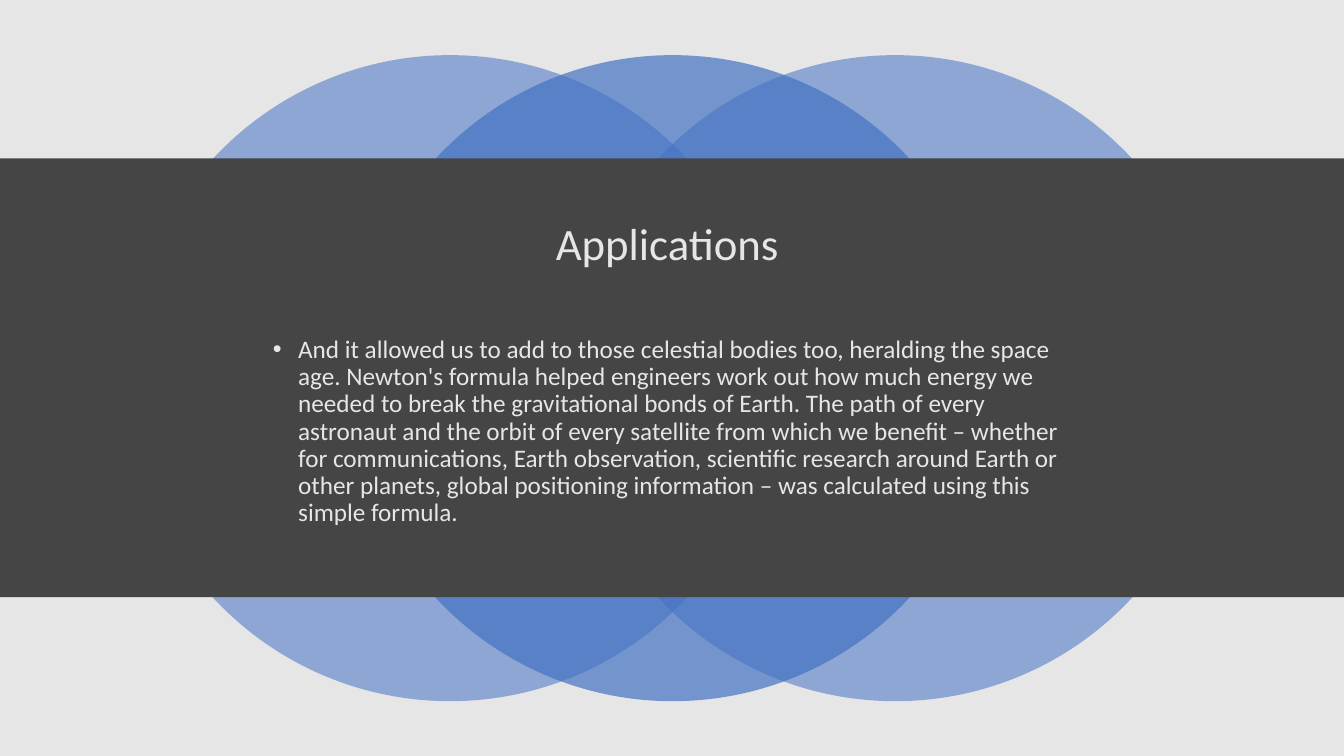
from lxml.etree import SubElement
from pptx import Presentation
from pptx.dml.color import RGBColor
from pptx.enum.shapes import MSO_SHAPE as SHAPE
from pptx.enum.text import MSO_ANCHOR as ANCHOR, PP_ALIGN as ALIGN
from pptx.oxml.ns import qn
from pptx.util import Cm, Pt

COLORS = {"dark": "454545", "light": "E7E6E6", "blue": "4472C4"}
WIDTH, HEIGHT = 33.87, 19.05
BODY = (
    "And it allowed us to add to those celestial bodies too, heralding the space age. "
    "Newton's formula helped engineers work out how much energy we needed to break the "
    "gravitational bonds of Earth. The path of every astronaut and the orbit of every "
    "satellite from which we benefit – whether for communications, Earth observation, "
    "scientific research around Earth or other planets, global positioning information "
    "– was calculated using this simple formula."
)


def add_filled(shapes, kind, box, color, alpha=None):
    """Add a borderless shape filled with a named colour, alpha in percent."""
    sp = shapes.add_shape(kind, *map(Cm, box))
    sp.shadow.inherit = False
    sp.line.fill.background()
    sp.fill.solid()
    sp.fill.fore_color.rgb = RGBColor.from_string(COLORS[color])
    if alpha:
        clr = sp._element.spPr.find(qn("a:solidFill"))[0]
        SubElement(clr, qn("a:alpha"), val=str(alpha * 1000))
    return sp


def add_text(slide, text, box, size, color="light", align=ALIGN.LEFT,
             anchor=ANCHOR.TOP, before=0, bullet=None):
    """Add a wrapped one-paragraph text box, optionally bulleted."""
    tf = slide.shapes.add_textbox(*map(Cm, box)).text_frame
    tf.word_wrap = True
    tf.vertical_anchor = anchor
    p = tf.paragraphs[0]
    p.alignment = align
    p.line_spacing = 0.9
    p.space_before = Pt(before)
    if bullet:
        pPr = p._p.get_or_add_pPr()
        pPr.set("marL", str(Pt(18)))
        pPr.set("indent", str(-Pt(18)))
        SubElement(pPr, qn("a:buFont"), typeface="Arial")
        SubElement(pPr, qn("a:buChar"), char=bullet)
    r = p.add_run()
    r.text = text
    r.font.name = "Calibri"
    r.font.size = Pt(size)
    r.font.color.rgb = RGBColor.from_string(COLORS[color])


def add_circles(slide, left, top, width, height):
    """Place three overlapping circles across the box, the middle one in front."""
    group = slide.shapes.add_group_shape()
    step = (width - height) / 2
    for i, alpha in ((0, 55), (2, 55), (1, 70)):
        box = (left + i * step, top, height, height)
        add_filled(group.shapes, SHAPE.OVAL, box, "blue", alpha)


def add_band(slide, left, top, width, height):
    """Draw the dark band with its title and bulleted paragraph."""
    add_filled(slide.shapes, SHAPE.RECTANGLE, (left, top, width, height), "dark")
    add_text(slide, "Applications ", (left + 2.34, top + 0.91, 29.21, 2.59), 32,
             align=ALIGN.CENTER, anchor=ANCHOR.MIDDLE)
    add_text(slide, BODY, (left + 6.63, top + 4.37, 20.62, 5.87), 18,
             before=10, bullet="•")


def build_slide(prs):
    """Build the applications slide."""
    s = prs.slides.add_slide(prs.slide_layouts[6])
    s.background.fill.solid()
    s.background.fill.fore_color.rgb = RGBColor.from_string(COLORS["dark"])
    add_filled(s.shapes, SHAPE.RECTANGLE, (0, 0, WIDTH, HEIGHT), "light")
    add_circles(s, 3.2, 1.39, 27.5, 16.28)
    add_band(s, 0, 3.99, WIDTH, 11.06)


def main():
    """Create and save the presentation."""
    prs = Presentation()
    prs.slide_width, prs.slide_height = Cm(WIDTH), Cm(HEIGHT)
    build_slide(prs)
    prs.save("out.pptx")


if __name__ == "__main__":
    main()
